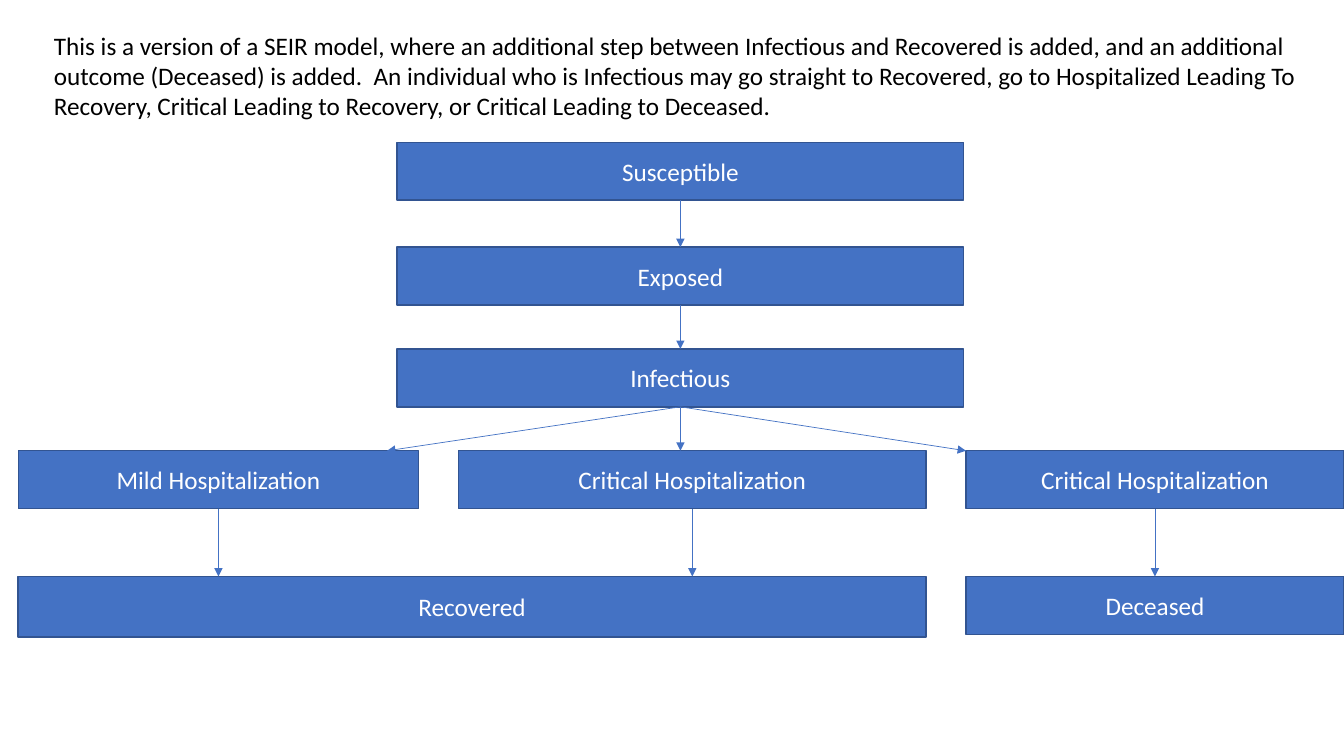
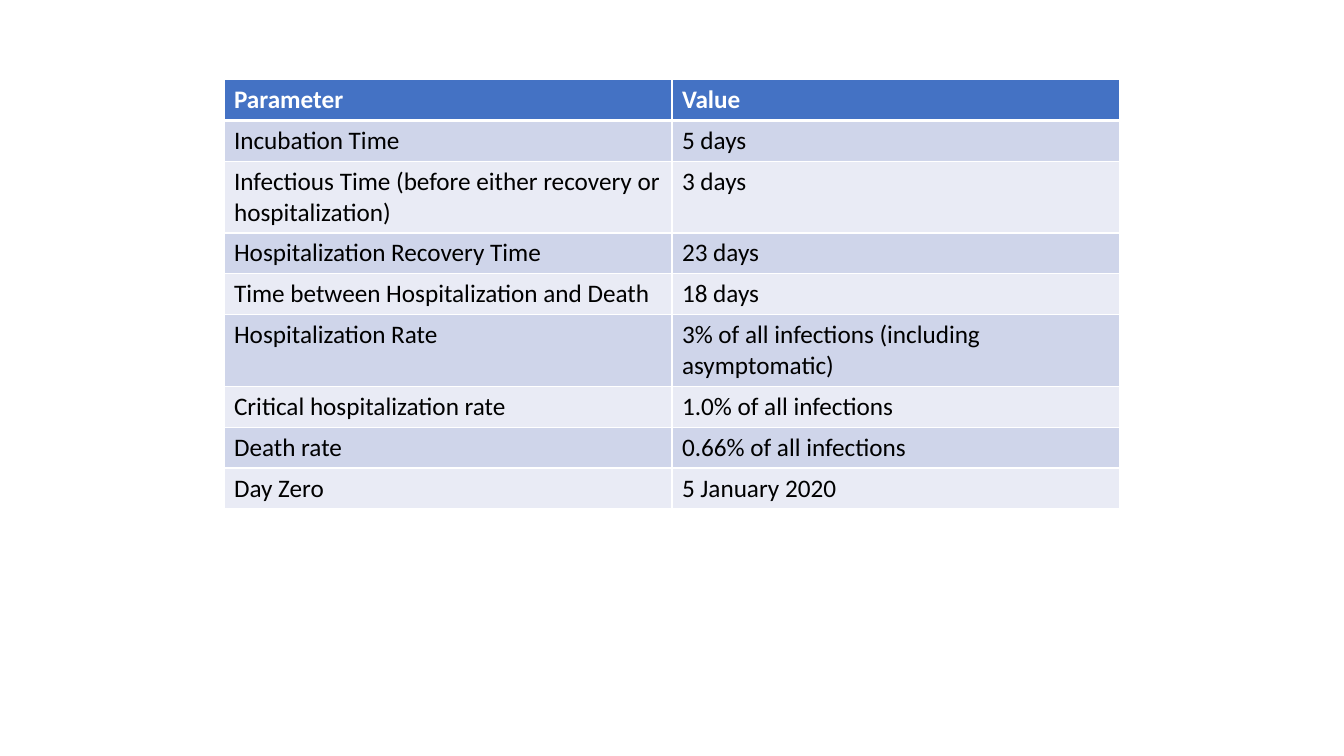
from collections import namedtuple
from dataclasses import dataclass

from lxml import etree
from pptx import Presentation
from pptx.dml.color import RGBColor
from pptx.enum.shapes import MSO_CONNECTOR, MSO_SHAPE
from pptx.enum.text import MSO_ANCHOR, MSO_AUTO_SIZE, PP_ALIGN
from pptx.oxml.ns import qn
from pptx.util import Pt

RECTANGLE = MSO_SHAPE.RECTANGLE
STRAIGHT = MSO_CONNECTOR.STRAIGHT
MIDDLE = MSO_ANCHOR.MIDDLE
CENTER = PP_ALIGN.CENTER
GROW = MSO_AUTO_SIZE.SHAPE_TO_FIT_TEXT
TOP_SITE, BOTTOM_SITE = 0, 2

# Content
INTRO = (
    "This is a version of a SEIR model, where an additional step between "
    "Infectious and Recovered is added, and an additional outcome (Deceased) "
    "is added.  An individual who is Infectious may go straight to Recovered, "
    "go to Hospitalized Leading To Recovery, Critical Leading to Recovery, or "
    "Critical Leading to Deceased."
)
STAGES = [("Susceptible", 101.6), ("Exposed", 176.5), ("Infectious", 249.2)]
BRANCHES = [  # label, width, where its arrow from Infectious lands
    ("Mild Hospitalization", 286, 276.5),
    ("Critical Hospitalization", 334, 486),
    ("Critical Hospitalization", 270, 690),
]
OUTCOMES = [  # label, first branch, last branch, height
    ("Recovered", 0, 1, 43.2),
    ("Deceased", 2, 2, 41.4),
]
PARAMETERS = [
    ("Parameter", "Value"),
    ("Incubation Time", "5 days"),
    ("Infectious Time (before either recovery or hospitalization)", "3 days"),
    ("Hospitalization Recovery Time", "23 days"),
    ("Time between Hospitalization and Death", "18 days"),
    ("Hospitalization Rate", "3% of all infections (including asymptomatic)"),
    ("Critical hospitalization rate", "1.0% of all infections"),
    ("Death rate", "0.66% of all infections"),
    ("Day Zero", "5 January 2020"),
]


@dataclass(frozen=True)
class Theme:
    font: str = "Calibri"
    size: float = 18
    accent: str = "4472C4"
    outline: str = "325491"
    text: str = "000000"
    light: str = "FFFFFF"
    bands: tuple = ("CFD5EA", "E9EBF5")
    box_line: float = 1
    arrow_line: float = 0.5
    grid_line: float = 1
    header_line: float = 3


THEME = Theme()
Box = namedtuple("Box", "shape left top width height")

# Layout
STAGE_LEFT, STAGE_WIDTH, BOX_HEIGHT = 283.7, 404.6, 41.4
BRANCH_LEFT, BRANCH_TOP, BRANCH_GAP = 13, 322, 28.5
OUTCOME_TOP = 411.8
TABLE_LEFT, TABLE_TOP, COLUMN_WIDTH, ROW_HEIGHT = 160, 56.8, 320, 29.2


# Shared helpers
def color(value):
    return RGBColor.from_string(value)


def points(*values):
    return [Pt(value) for value in values]


def write(paragraph, text, text_color, bold=False):
    run = paragraph.add_run()
    run.text = text
    font = run.font
    font.name, font.size, font.bold = THEME.font, Pt(THEME.size), bold
    font.color.rgb = color(text_color)


def add_box(slide, label, left, top, width, height=BOX_HEIGHT):
    shape = slide.shapes.add_shape(RECTANGLE, *points(left, top, width, height))
    shape.shadow.inherit = False
    shape.fill.solid()
    shape.fill.fore_color.rgb = color(THEME.accent)
    shape.line.color.rgb = color(THEME.outline)
    shape.line.width = Pt(THEME.box_line)
    shape.text_frame.vertical_anchor = MIDDLE
    paragraph = shape.text_frame.paragraphs[0]
    paragraph.alignment = CENTER
    write(paragraph, label, THEME.light)
    return Box(shape, left, top, width, height)


def add_arrow(slide, source, target, end_x):
    """Arrow from the bottom centre of source to the top edge of target."""
    start_x = source.left + source.width / 2
    arrow = slide.shapes.add_connector(
        STRAIGHT, *points(start_x, source.top + source.height, end_x, target.top))
    arrow.begin_connect(source.shape, BOTTOM_SITE)
    if end_x == target.left + target.width / 2:
        arrow.end_connect(target.shape, TOP_SITE)
    arrow.line.color.rgb = color(THEME.accent)
    arrow.line.width = Pt(THEME.arrow_line)
    properties = arrow.line._get_or_add_ln()
    etree.SubElement(properties, qn("a:tailEnd"), type="triangle")
    etree.SubElement(arrow._element.spPr, qn("a:effectLst"))


def set_borders(cell, widths):
    properties = cell._tc.get_or_add_tcPr()
    for position, (side, width) in enumerate(widths.items()):
        line = etree.Element(qn(f"a:ln{side}"), w=str(Pt(width)))
        fill = etree.SubElement(line, qn("a:solidFill"))
        etree.SubElement(fill, qn("a:srgbClr"), val=THEME.light)
        properties.insert(position, line)


presentation = Presentation()
presentation.slide_width, presentation.slide_height = points(960, 540)
blank_layout = presentation.slide_layouts[6]

# Slide 1: flow of the model
slide = presentation.slides.add_slide(blank_layout)
intro = slide.shapes.add_textbox(*points(31.5, 18, 903, 72.7)).text_frame
intro.word_wrap = True
intro.auto_size = GROW
write(intro.paragraphs[0], INTRO, THEME.text)

stages = [add_box(slide, label, STAGE_LEFT, top, STAGE_WIDTH)
          for label, top in STAGES]

branches = []
left = BRANCH_LEFT
for label, width, _ in BRANCHES:
    branches.append(add_box(slide, label, left, BRANCH_TOP, width))
    left += width + BRANCH_GAP

for source, target in zip(stages, stages[1:]):
    add_arrow(slide, source, target, target.left + target.width / 2)
for branch, (_, _, landing) in zip(branches, BRANCHES):
    add_arrow(slide, stages[-1], branch, landing)

for label, first, last, height in OUTCOMES:
    left = branches[first].left
    width = branches[last].left + branches[last].width - left
    outcome = add_box(slide, label, left, OUTCOME_TOP, width, height)
    for branch in branches[first:last + 1]:
        add_arrow(slide, branch, outcome, branch.left + branch.width / 2)

# Slide 2: parameter table
slide = presentation.slides.add_slide(blank_layout)
row_count, column_count = len(PARAMETERS), len(PARAMETERS[0])
table = slide.shapes.add_table(
    row_count, column_count,
    *points(TABLE_LEFT, TABLE_TOP, COLUMN_WIDTH * column_count,
            ROW_HEIGHT * row_count)).table
for column in table.columns:
    column.width = Pt(COLUMN_WIDTH)
for row_index, values in enumerate(PARAMETERS):
    header = row_index == 0
    table.rows[row_index].height = Pt(ROW_HEIGHT)
    above = THEME.header_line if row_index == 1 else THEME.grid_line
    below = THEME.header_line if header else THEME.grid_line
    borders = {"L": THEME.grid_line, "R": THEME.grid_line, "T": above, "B": below}
    for column_index, value in enumerate(values):
        cell = table.cell(row_index, column_index)
        cell.fill.solid()
        cell.fill.fore_color.rgb = color(
            THEME.accent if header else THEME.bands[(row_index - 1) % 2])
        set_borders(cell, borders)
        write(cell.text_frame.paragraphs[0], value,
              THEME.light if header else THEME.text, bold=header)

presentation.save("out.pptx")
